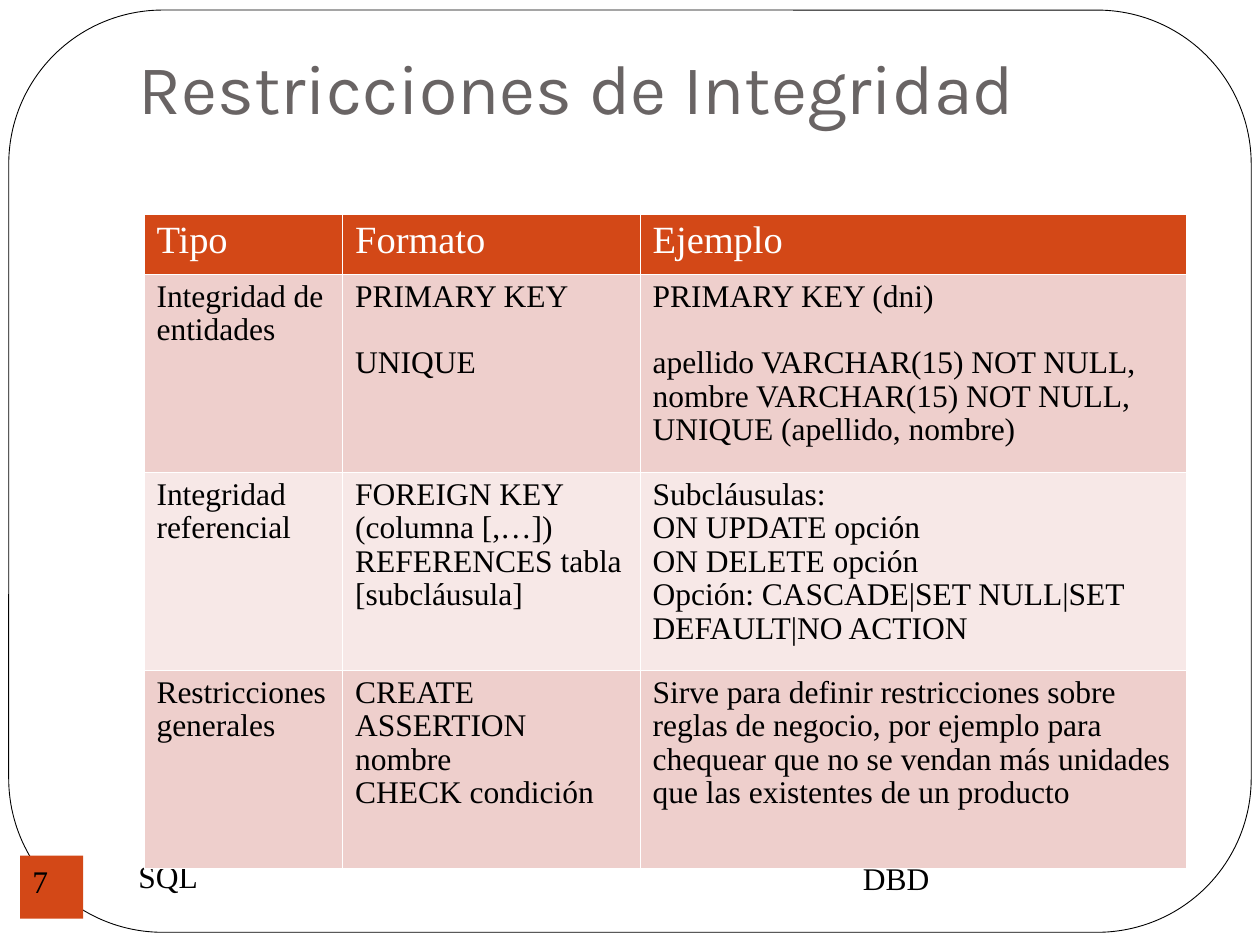
from lxml import etree
from pptx import Presentation
from pptx.dml.color import RGBColor
from pptx.enum.shapes import MSO_SHAPE
from pptx.enum.text import MSO_ANCHOR, PP_ALIGN
from pptx.oxml.ns import qn
from pptx.util import Pt

ROUNDED, RECTANGLE = MSO_SHAPE.ROUNDED_RECTANGLE, MSO_SHAPE.RECTANGLE
TOP, LEFT = MSO_ANCHOR.TOP, PP_ALIGN.LEFT
TITLE_FONT, BODY_FONT = "Karla", "Times New Roman"
ORANGE, PINK, PALE, WHITE, BLACK = "D34817", "EECFCC", "F7E8E7", "FFFFFF", "000000"


def color(value):
    return RGBColor.from_string(value)


def write(text_frame, text, size, font_color, font_name=BODY_FONT):
    text_frame.word_wrap = True
    text_frame.vertical_anchor = TOP
    text_frame.text = text
    for paragraph in text_frame.paragraphs:
        paragraph.alignment = LEFT
        for run in paragraph.runs:
            run.font.name = font_name
            run.font.size = Pt(size)
            run.font.color.rgb = color(font_color)


presentation = Presentation()
presentation.slide_width, presentation.slide_height = Pt(720), Pt(540)
slide = presentation.slides.add_slide(presentation.slide_layouts[5])
shapes = slide.shapes

# Rounded frame, behind the title
frame = shapes.add_shape(ROUNDED, Pt(5), Pt(5.75), Pt(710), Pt(527))
frame.adjustments[0] = 0.167
frame.shadow.inherit = False
frame.fill.solid()
frame.fill.fore_color.rgb = color(WHITE)
frame.line.color.rgb = color(BLACK)
frame.line.width = Pt(0.5)

# Title
title = shapes.title
frame.element.addnext(title.element)
title.left, title.top, title.width, title.height = Pt(72), Pt(21.6), Pt(612), Pt(90)
write(title.text_frame, "Restricciones de Integridad", 40, "696464", TITLE_FONT)

# Footer texts
for text, left, top, width, height in [
    ("DBD", 486, 487.5, 195, 37.5),
    ("SQL", 72, 486, 312, 36),
]:
    footer = shapes.add_textbox(Pt(left), Pt(top), Pt(width), Pt(height))
    write(footer.text_frame, text, 18, BLACK)

# Slide number
number = shapes.add_shape(RECTANGLE, Pt(11.5), Pt(489), Pt(36), Pt(36))
number.shadow.inherit = False
number.fill.solid()
number.fill.fore_color.rgb = color(ORANGE)
number.line.fill.background()
write(number.text_frame, "7", 18, BLACK)

# Table of constraints; paragraphs are separated by line ends
rows = [
    ("Tipo", "Formato", "Ejemplo"),
    (
        "Integridad de entidades",
        "PRIMARY KEY\nUNIQUE",
        "PRIMARY KEY (dni)\napellido VARCHAR(15) NOT NULL,\n"
        "nombre VARCHAR(15) NOT NULL,\nUNIQUE (apellido, nombre)",
    ),
    (
        "Integridad referencial",
        "FOREIGN KEY (columna [,…]) REFERENCES tabla [subcláusula]",
        "Subcláusulas:\nON UPDATE opción\nON DELETE opción\n"
        "Opción: CASCADE|SET NULL|SET DEFAULT|NO ACTION",
    ),
    (
        "Restricciones generales",
        "CREATE ASSERTION nombre\nCHECK condición",
        "Sirve para definir restricciones sobre reglas de negocio, por ejemplo para "
        "chequear que no se vendan más unidades que las existentes de un producto",
    ),
]
column_widths = [113.5, 170, 312]
row_heights = [34, 113.2, 113.2, 113.2]
row_fills = [ORANGE, PINK, PALE, PINK]

table = shapes.add_table(
    len(rows), len(column_widths), Pt(82.25), Pt(122.6),
    Pt(sum(column_widths)), Pt(sum(row_heights)),
).table
for column, width in zip(table.columns, column_widths):
    column.width = Pt(width)

for row_index, texts in enumerate(rows):
    table.rows[row_index].height = Pt(row_heights[row_index])
    size, font_color = (22, WHITE) if row_index == 0 else (18, BLACK)
    for column_index, text in enumerate(texts):
        cell = table.cell(row_index, column_index)
        write(cell.text_frame, text, size, font_color)
        for paragraph in cell.text_frame.paragraphs:
            paragraph.line_spacing = 0.96

        # Thin white borders come before the fill in the cell properties
        properties = cell._tc.get_or_add_tcPr()
        for side in ("a:lnL", "a:lnR", "a:lnT", "a:lnB"):
            border = etree.SubElement(properties, qn(side), w=str(Pt(0.45)))
            fill = etree.SubElement(border, qn("a:solidFill"))
            etree.SubElement(fill, qn("a:srgbClr"), val=WHITE)
        cell.fill.solid()
        cell.fill.fore_color.rgb = color(row_fills[row_index])

# One line of space between PRIMARY KEY and UNIQUE
for column_index in (1, 2):
    table.cell(1, column_index).text_frame.paragraphs[1].space_before = Pt(19)

presentation.save("out.pptx")
